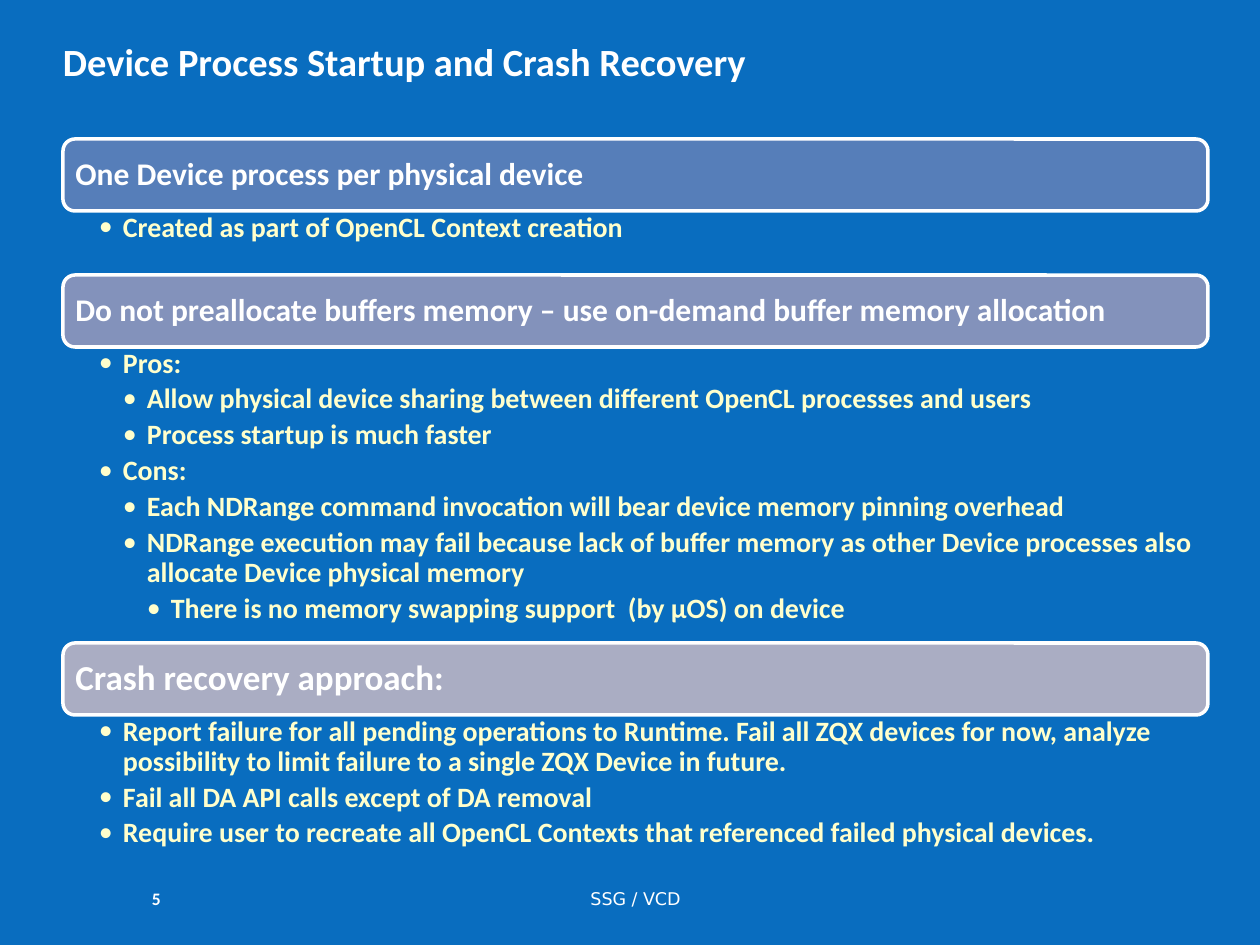
from lxml.etree import SubElement
from pptx import Presentation
from pptx.dml.color import RGBColor
from pptx.enum.shapes import MSO_SHAPE
from pptx.enum.text import MSO_ANCHOR, PP_ALIGN
from pptx.oxml.ns import qn
from pptx.util import Emu, Pt

BLUE = RGBColor(0x09, 0x6D, 0xBF)
WHITE = RGBColor(0xFF, 0xFF, 0xFF)
CREAM = RGBColor(0xFF, 0xFF, 0xCC)
STEEL = RGBColor(0x56, 0x7E, 0xB9)
LAVENDER = RGBColor(0x83, 0x92, 0xBB)
GREY = RGBColor(0xAA, 0xAD, 0xC3)

LEFT, TOP, WIDTH, HEADER_H = 63, 139, 1145, 72
INDENT = 24

# (header, header size, header fill, body height, [(level, text)])
SECTIONS = [
    ("One Device process per physical device", 18, STEEL, 64, [
        (1, "Created as part of OpenCL Context creation"),
    ]),
    ("Do not preallocate buffers memory – use on-demand buffer memory allocation",
     18, LAVENDER, 296, [
        (1, "Pros:"),
        (2, "Allow physical device sharing between different OpenCL processes and users"),
        (2, "Process startup is much faster"),
        (1, "Cons:"),
        (2, "Each NDRange command invocation will bear device memory pinning overhead"),
        (2, "NDRange execution may fail because lack of buffer memory as other "
            "Device processes also allocate Device physical memory"),
        (3, "There is no memory swapping support  (by µOS) on device"),
    ]),
    ("Crash recovery approach:", 20, GREY, 144, [
        (1, "Report failure for all pending operations to Runtime. Fail all ZQX devices "
            "for now, analyze possibility to limit failure to a single ZQX Device in future."),
        (1, "Fail all DA API calls except of DA removal"),
        (1, "Require user to recreate all OpenCL Contexts that referenced failed "
            "physical devices."),
    ]),
]


def px(n):
    return Emu(round(n * 914400 / 126))


class Deck:
    font = "Calibri"

    def __init__(self, prs):
        self.s = prs.slides.add_slide(prs.slide_layouts[6])
        fill = self.s.background.fill
        fill.solid()
        fill.fore_color.rgb = BLUE

    def frame(self, sp, insets=(0, 0, 0, 0), anchor=MSO_ANCHOR.TOP, wrap=True):
        tf = sp.text_frame
        tf.word_wrap = wrap
        tf.vertical_anchor = anchor
        (tf.margin_left, tf.margin_top,
         tf.margin_right, tf.margin_bottom) = map(px, insets)
        return tf

    def style(self, p, size, color=WHITE, bold=True, font=None, align=PP_ALIGN.LEFT):
        p.alignment = align
        for r in p.runs:
            r.font.name = font or self.font
            r.font.size = Pt(size)
            r.font.bold = bold
            r.font.color.rgb = color

    def label(self, text, box, size, anchor=MSO_ANCHOR.MIDDLE, wrap=True, **style):
        sp = self.s.shapes.add_textbox(*map(px, box))
        tf = self.frame(sp, anchor=anchor, wrap=wrap)
        tf.text = text
        self.style(tf.paragraphs[0], size, **style)

    def header(self, text, y, size, color):
        sp = self.s.shapes.add_shape(MSO_SHAPE.ROUNDED_RECTANGLE,
                                     *map(px, (LEFT, y, WIDTH, HEADER_H)))
        sp.shadow.inherit = False
        sp.fill.solid()
        sp.fill.fore_color.rgb = color
        sp.line.color.rgb = WHITE
        sp.line.width = Pt(2)
        tf = self.frame(sp, (9, 9, 9, 9), MSO_ANCHOR.MIDDLE)
        tf.text = text
        p = tf.paragraphs[0]
        p.line_spacing = 0.9
        self.style(p, size)

    def bullets(self, items, y, height):
        sp = self.s.shapes.add_textbox(*map(px, (LEFT, y, WIDTH, height)))
        tf = self.frame(sp, (36, 2, 15, 2))
        tf.text = "\n".join(text for _, text in items)
        for p, (level, _) in zip(tf.paragraphs, items):
            p.level = level
            p.line_spacing = 0.9
            p.space_after = Pt(3.2)
            self.style(p, 16, CREAM)
            pPr = p._p.get_or_add_pPr()
            pPr.set("marL", str(px(level * INDENT)))
            pPr.set("indent", str(-px(INDENT)))
            SubElement(pPr, qn("a:buFont")).set("typeface", self.font)
            SubElement(pPr, qn("a:buChar")).set("char", "•")


def main():
    prs = Presentation()
    prs.slide_width, prs.slide_height = px(1260), px(945)
    deck = Deck(prs)
    deck.label("SSG / VCD", (431, 888, 409, 21), 10, wrap=False, bold=False,
               font="DejaVu Sans", align=PP_ALIGN.CENTER)
    y = TOP
    for title, size, color, height, items in SECTIONS:
        deck.header(title, y, size, color)
        deck.bullets(items, y + HEADER_H, height)
        y += HEADER_H + height
    deck.label("Device Process Startup and Crash Recovery", (63, 38, 1135, 98), 22,
               anchor=MSO_ANCHOR.TOP)
    deck.label("5", (152, 888, 57, 21), 10)
    prs.save("out.pptx")


if __name__ == "__main__":
    main()
